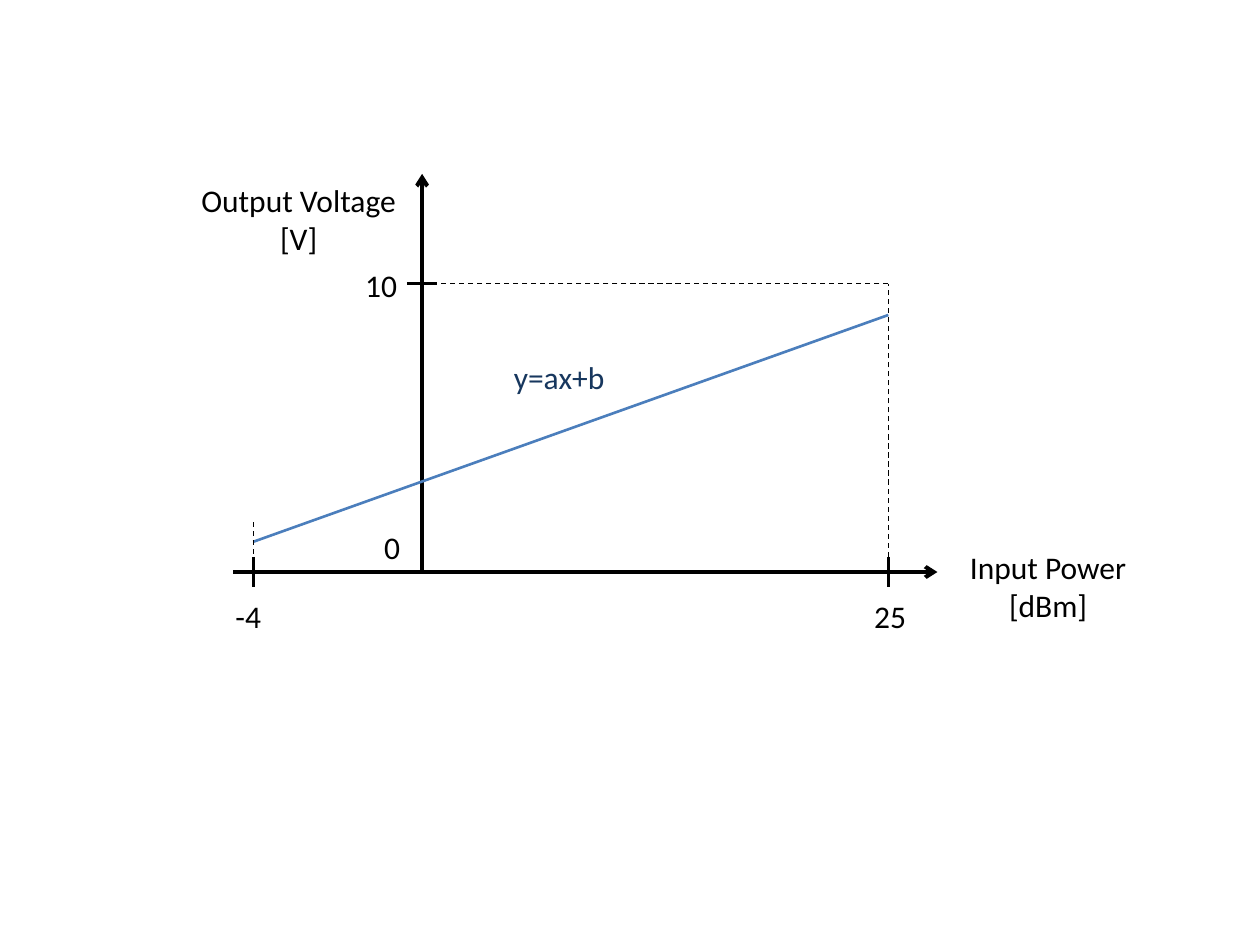
"""Draw the linear relation of output voltage to input power."""
from pptx import Presentation
from pptx import util as u
from pptx.dml.color import RGBColor
from pptx.enum import dml, shapes, text
from pptx.oxml.ns import qn
from lxml import etree

BLACK = RGBColor(0x00, 0x00, 0x00)
BLUE = RGBColor(0x4B, 0x7E, 0xBC)
NAVY = RGBColor(0x17, 0x37, 0x5E)
COLUMNS, ROWS = 10, 7.5


class Diagram:
    """Hold the slide, its grid and the shared text style."""

    font_name = "Calibri"
    font_size = u.Pt(18)

    def __init__(self, presentation):
        """Add a blank slide and measure its grid cells."""
        self.slide = presentation.slides.add_slide(presentation.slide_layouts[6])
        self.column = presentation.slide_width / COLUMNS
        self.row = presentation.slide_height / ROWS

    def place(self, x, y):
        """Turn columns and rows into slide lengths."""
        return round(x * self.column), round(y * self.row)

    def line(self, start, end, width, color=BLACK, dashed=False, arrow=False):
        """Draw a straight line between two grid points."""
        connector = self.slide.shapes.add_connector(
            shapes.MSO_CONNECTOR.STRAIGHT, *self.place(*start), *self.place(*end))
        connector.line.color.rgb = color
        connector.line.width = u.Pt(width)
        if dashed:
            connector.line.dash_style = dml.MSO_LINE.DASH
        if arrow:
            outline = connector.line._get_or_add_ln()
            etree.SubElement(outline, qn("a:tailEnd"), type="arrow")
        etree.SubElement(connector._element.spPr, qn("a:effectLst"))

    def label(self, left, top, width, height, *lines, color=BLACK):
        """Write a label whose later lines are centred under the first."""
        box = self.slide.shapes.add_textbox(
            *self.place(left, top), *self.place(width, height))
        frame = box.text_frame
        frame.word_wrap = False
        frame.auto_size = text.MSO_AUTO_SIZE.SHAPE_TO_FIT_TEXT
        frame.text = "\n".join(lines)
        for paragraph in frame.paragraphs:
            paragraph.font.name = self.font_name
            paragraph.font.size = self.font_size
            paragraph.font.color.rgb = color
        for paragraph in frame.paragraphs[1:]:
            paragraph.alignment = text.PP_ALIGN.CENTER


def main():
    """Build and save the slide."""
    presentation = Presentation()
    presentation.slide_width = u.Inches(10)
    presentation.slide_height = u.Inches(7.5)
    diagram = Diagram(presentation)

    x_min, x_zero, x_max = 2.01, 3.35, 7.05
    y_zero, y_ten = 4.54, 2.25
    tick = 0.12

    diagram.line((1.85, y_zero), (7.44, y_zero), 2.25, arrow=True)
    diagram.line((x_zero, y_zero), (x_zero, 1.38), 2.25, arrow=True)
    diagram.line((x_min, 4.3), (x_max, 2.5), 1.5, BLUE)

    for x in (x_min, x_max):
        diagram.line((x, y_zero - tick), (x, y_zero + tick), 1.5)
    diagram.line((x_zero - tick, y_ten), (x_zero + tick, y_ten), 1.5)

    for start, end in (
        ((x_max, y_zero - tick), (x_max, y_ten)),
        ((x_min, y_zero), (x_min, 4.14)),
        ((x_max, y_ten), (x_zero, y_ten)),
    ):
        diagram.line(start, end, 0.75, dashed=True)

    diagram.label(7.6, 4.3, 1.46, 0.71, "Input Power", "[dBm]")
    diagram.label(1.5, 1.39, 1.76, 0.71, "Output Voltage", "[V]")
    diagram.label(2.8, 2.06, 0.5, 0.44, "10")
    diagram.label(2.95, 4.14, 0.33, 0.4, "0")
    diagram.label(1.77, 4.69, 0.41, 0.4, "-4")
    diagram.label(6.84, 4.69, 0.46, 0.4, "25")
    diagram.label(3.98, 2.79, 0.93, 0.4, "y=ax+b", color=NAVY)

    presentation.save("out.pptx")


main()
